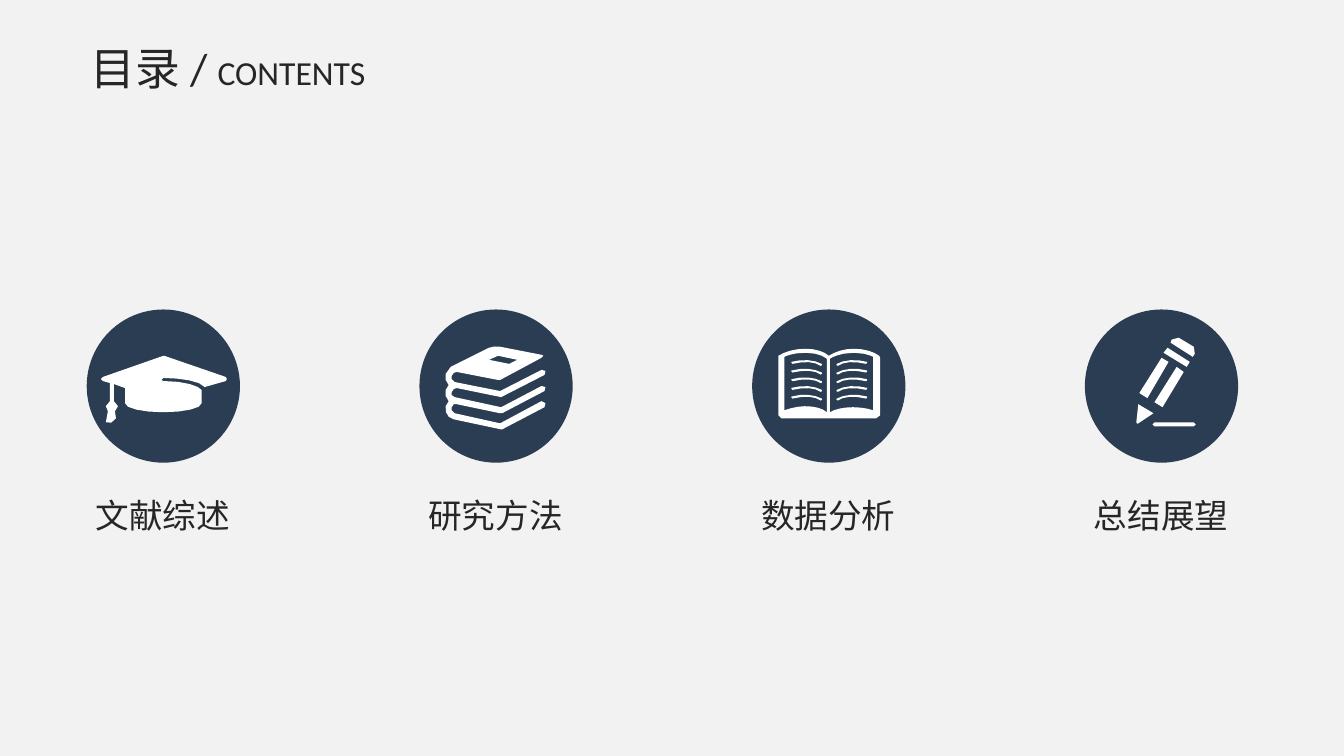
from dataclasses import dataclass
from math import dist
from typing import Any

from lxml.etree import SubElement
from pptx import Presentation
from pptx.dml.color import RGBColor
from pptx.enum.shapes import MSO_SHAPE as Preset
from pptx.enum.text import MSO_AUTO_SIZE as AutoSize, PP_ALIGN as Align
from pptx.oxml.ns import qn
from pptx.util import Inches, Pt

NAVY, WHITE, INK, PAPER = "2A3D52", "FFFFFF", "262626", "F2F2F2"
CJK_FONT, LATIN_FONT = "Noto Sans CJK SC", "Calibri"
FIRST_LEFT, STEP, DISC_TOP, DISC_SIZE = 0.86, 3.3, 3.07, 1.52
CHORD, MAX_CHORDS = 6, 4

Point = tuple[float, float]
Outline = list[Point]


@dataclass
class Topic:
    title: str
    icon: list[list[Outline]]


@dataclass
class Phrase:
    text: str
    size: int
    font: str


def bezier(a: Point, b: Point, c: Point, d: Point) -> Outline:
    chords = min(MAX_CHORDS, max(1, round(dist(a, d) / CHORD)))
    return [
        tuple(
            (1 - t) ** 3 * p + 3 * (1 - t) ** 2 * t * q + 3 * (1 - t) * t**2 * r + t**3 * s
            for p, q, r, s in zip(a, b, c, d)
        )
        for t in (i / chords for i in range(1, chords + 1))
    ]


def outline(segments: str) -> Outline:
    points: Outline = []
    for segment in segments.split():
        knots = [tuple(float(n) for n in knot.split(",")) for knot in segment.split(":")]
        points += bezier(points[-1], *knots) if len(knots) == 3 else knots
    return points


def shift_down(points: Outline, distance: float) -> Outline:
    return [(x, y + distance) for x, y in points]


def mirror(points: Outline, axis: float) -> Outline:
    return [(2 * axis - x, y) for x, y in points]


CAP = [outline(
    "102,374 162,353 163,353 224,374 225,376 224,378 203,384 199,378:179,375:162,375 "
    "160,377 162,378 183,378:198,383:200,387 200,400 200,405:183,409:162,409 "
    "141,409:124,405:124,400 124,385 113,381 113,398 116,399:117,401:117,403 "
    "117,406:116,407:114,408 115,415 116,418:105,422:105,419 107,408 "
    "106,407:105,405:105,403 105,401:107,399:109,398 109,380 102,378 100,376"
)]

BOOK_STACK = [
    outline(
        "496,410 498,410 540,388 541,384 537,383 497,404 451,394 448,392 448,389 450,386 453,385 "
        "497,394 540,372 541,368 537,367 496,388 451,379 448,376 448,373 450,370 453,369 "
        "494,377 496,377 537,355 539,353 537,352 496,344 493,343:488,344:485,345 447,364 "
        "444,366:442,368:442,371 441,375:442,379:445,382 442,387 441,391:442,395:445,398 "
        "442,403 441,409:444,415:450,416 497,426 498,426 540,404 541,400 537,398 "
        "496,420 451,410 448,407 448,404 450,401 453,401"
    ),
    outline("494,353 513,357 505,361 485,357"),
]

OPEN_BOOK = [
    outline(
        "872,353 867,349:857,346:847,346 837,346:828,349:822,353 818,349:809,346:799,346 "
        "788,346:778,349:772,353 772,412 775,415 869,415 873,412 873,355"
    ),
    outline("820,356 820,409 816,405:808,403:798,403 791,403:784,405:778,407 778,354 "
            "778,354:785,350:799,350 814,350:820,356:820,356"),
    outline("866,354 866,407 860,405:853,404:846,404 836,404:828,406:823,409 823,356 "
            "823,356:831,350:847,350 859,350:866,354:866,354"),
]

LEFT_PAGE_LINE = outline(
    "814,363 809,359:798,358:786,361 785,360 785,359 796,356:808,357:815,361 815.5,362"
)
LEFT_PAGE = [shift_down(LEFT_PAGE_LINE, row * 8.6) for row in range(5)]
RIGHT_PAGE = [mirror(line, 822.5) for line in LEFT_PAGE]

PENCIL = [outline(part) for part in (
    "1162,337 1164,335:1167,334:1169,335 1184,344 1186,346:1187,349:1185,351 1183,354 1161,340",
    "1158,345 1154,350 1177,364 1180,359",
    "1127,419 1129,401 1144,410 1129,420 1128,420.5",
    "1130,390 1152,355 1159,359 1138,395",
    "1145,399 1167,364 1174,369 1153,404",
    "1145,419 1184,419 1186,421 1184,423 1145,423 1143,421",
)]

TOPICS = [
    Topic("文献综述", [CAP]),
    Topic("研究方法", [BOOK_STACK]),
    Topic("数据分析", [OPEN_BOOK, LEFT_PAGE, RIGHT_PAGE]),
    Topic("总结展望", [PENCIL]),
]
HEADING = [Phrase("目录 / ", 32, LATIN_FONT), Phrase("CONTENTS", 24, LATIN_FONT)]


def color(code: str) -> RGBColor:
    return RGBColor.from_string(code)


def apply(target: Any, values: dict[str, Any]) -> None:
    for name, value in values.items():
        setattr(target, name, value)


def paint(shape: Any, code: str) -> None:
    shape.shadow.inherit = False
    shape.fill.solid()
    shape.fill.fore_color.rgb = color(code)
    shape.line.fill.background()


def draw_silhouette(shapes: Any, outlines: list[Outline]) -> None:
    contours = [[(Inches(x / 100), Inches(y / 100)) for x, y in points] for points in outlines]
    builder = shapes.build_freeform(*contours[0][0], scale=1.0)
    for index, contour in enumerate(contours):
        if index:
            builder.move_to(*contour[0])
        builder.add_line_segments(contour[1:], close=True)
    paint(builder.convert_to_shape(), WHITE)


def draw_badge(shapes: Any, left: float, icon: list[list[Outline]]) -> None:
    badge = shapes.add_group_shape().shapes
    disc = badge.add_shape(
        Preset.OVAL, Inches(left), Inches(DISC_TOP), Inches(DISC_SIZE), Inches(DISC_SIZE)
    )
    paint(disc, NAVY)
    for silhouette in icon:
        draw_silhouette(badge, silhouette)


def draw_text(shapes: Any, box: tuple[float, ...], phrases: list[Phrase],
              align: Align, wrap: bool) -> None:
    frame = shapes.add_textbox(*map(Inches, box)).text_frame
    apply(frame, {"word_wrap": wrap, "auto_size": AutoSize.SHAPE_TO_FIT_TEXT})
    paragraph = frame.paragraphs[0]
    paragraph.alignment = align
    for phrase in phrases:
        run = paragraph.add_run()
        run.text = phrase.text
        apply(run.font, {"size": Pt(phrase.size), "name": phrase.font})
        run.font.color.rgb = color(INK)
        east_asian = SubElement(run.font._element, qn("a:ea"))
        east_asian.set("typeface", CJK_FONT)
        run.font._element.find(qn("a:latin")).addnext(east_asian)


def main() -> None:
    deck = Presentation()
    apply(deck, {"slide_width": Inches(13.33), "slide_height": Inches(7.5)})
    slide = deck.slides.add_slide(deck.slide_layouts[6])
    slide.background.fill.solid()
    slide.background.fill.fore_color.rgb = color(PAPER)
    for index, topic in enumerate(TOPICS):
        left = FIRST_LEFT + index * STEP
        draw_badge(slide.shapes, left, topic.icon)
        draw_text(slide.shapes, (left - 0.01, 4.86, 1.55, 0.5),
                  [Phrase(topic.title, 24, CJK_FONT)], Align.LEFT, False)
    draw_text(slide.shapes, (0.26, 0.36, 4, 0.64), HEADING, Align.CENTER, True)
    deck.save("out.pptx")


if __name__ == "__main__":
    main()
